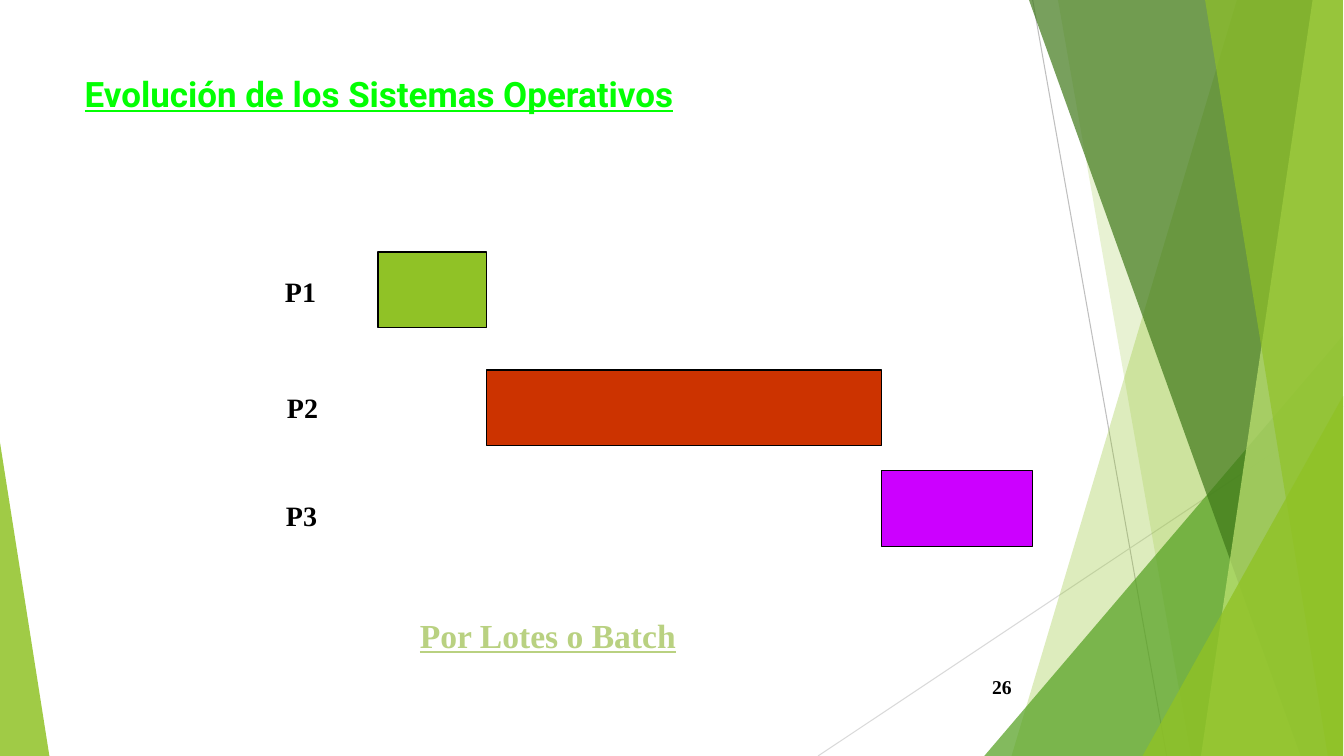
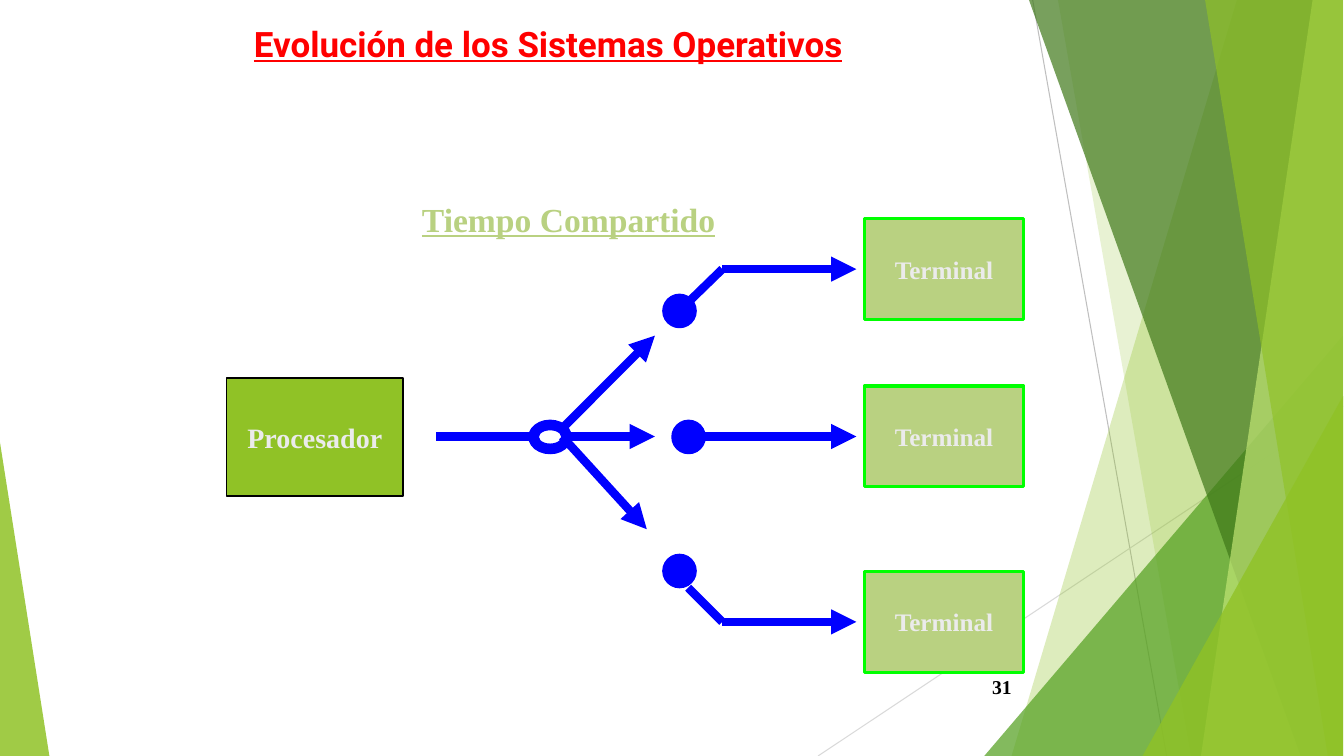
"""Two slides on the evolution of operating systems: batch and time sharing."""
from typing import NamedTuple, Optional

from lxml import etree
from pptx import Presentation
from pptx.dml.color import RGBColor
from pptx.enum import shapes, text
from pptx.oxml import ns
from pptx.util import Inches, Pt

BLACK = RGBColor(0x00, 0x00, 0x00)
PALE = RGBColor(0xEB, 0xEB, 0xEB)
GREY = RGBColor(0xBF, 0xBF, 0xBF)
SILVER = RGBColor(0xD9, 0xD9, 0xD9)
GREEN = RGBColor(0x90, 0xC2, 0x26)
LEAF = RGBColor(0x54, 0xA0, 0x21)
FOREST = RGBColor(0x3F, 0x78, 0x19)
LIME = RGBColor(0xC0, 0xE4, 0x74)
SAGE = RGBColor(0xB9, 0xD1, 0x81)
NEON = RGBColor(0x03, 0xFF, 0x03)
FRAME = RGBColor(0x00, 0xFF, 0x00)
RED = RGBColor(0xFF, 0x00, 0x00)
BRICK = RGBColor(0xCC, 0x33, 0x00)
PURPLE = RGBColor(0xCC, 0x00, 0xFF)
BLUE = RGBColor(0x00, 0x00, 0xFF)

SERIF = "Times New Roman"
WIDTH, HEIGHT = 13.34, 7.5
EDGE = 13.33
KIND = shapes.MSO_SHAPE
LEFT, MID, RIGHT = text.PP_ALIGN.LEFT, text.PP_ALIGN.CENTER, text.PP_ALIGN.RIGHT


class Box(NamedTuple):
    """Left, top, width and height in inches."""
    left: float
    top: float
    width: float
    height: float


class Band(NamedTuple):
    """A band from a top point and a foot point to the right edge."""
    top: float
    foot: float
    color: RGBColor
    alpha: int


class Wedge(NamedTuple):
    """A right-angled triangle at the foot of the slide."""
    box: Box
    apex: float
    color: RGBColor
    alpha: int


class Job(NamedTuple):
    """A process with its label place and its bar."""
    name: str
    left: float
    top: float
    bar: Box
    color: RGBColor


class Wire(NamedTuple):
    """A line between two points, with or without an arrowhead."""
    x1: float
    y1: float
    x2: float
    y2: float
    arrow: bool = False


BACK = [Band(12.28, 10.04, GREEN, 30), Band(10.5, 11.82, GREEN, 20)]
FRONT = [Band(10.21, 12.91, FOREST, 70), Band(13.03, 11.92, LIME, 70),
         Band(11.96, 13.18, GREEN, 65)]
LOW = Wedge(Box(9.77, 3.33, 3.56, 4.17), 1, LEAF, 72)
ENDS = [Wedge(Box(11.34, 3.93, 1.99, 3.57), 1, GREEN, 80),
        Wedge(Box(0, 4.39, 0.49, 3.11), 0, GREEN, 85)]
JOBS = [Job("P1", 2.73, 2.67, Box(3.75, 2.5, 1.08, 0.75), GREEN),
        Job("P2", 2.75, 3.82, Box(4.83, 3.67, 3.92, 0.75), BRICK),
        Job("P3", 2.74, 4.9, Box(8.75, 4.67, 1.5, 0.75), PURPLE)]
WIRES = [Wire(4.33, 4.33, 5.33, 4.33), Wire(5.58, 4.25, 6.5, 3.33, True),
         Wire(5.58, 4.33, 6.5, 4.33, True), Wire(5.58, 4.33, 6.42, 5.25, True),
         Wire(6.83, 3, 7.17, 2.67), Wire(7.17, 2.67, 8.5, 2.67, True),
         Wire(7, 4.33, 8.5, 4.33, True),
         Wire(6.83, 5.83, 7.17, 6.17), Wire(7.17, 6.17, 8.5, 6.17, True)]
DOTS = [(6.58, 2.92), (6.67, 4.17), (6.58, 5.5)]


def write(frame, words: str, *, size: float, color: RGBColor, font: str = SERIF,
          line: bool = False, align=LEFT, anchor=text.MSO_ANCHOR.TOP,
          wrap: bool = False) -> None:
    """Fill a text frame with one bold formatted paragraph."""
    frame.auto_size = text.MSO_AUTO_SIZE.NONE
    frame.word_wrap = wrap
    frame.vertical_anchor = anchor
    para = frame.paragraphs[0]
    para.alignment = align
    run = para.add_run()
    run.text = words
    run.font.name = font
    run.font.size = Pt(size)
    run.font.bold = True
    run.font.underline = line
    run.font.color.rgb = color


def label(slide, box: Box, words: str, **style) -> None:
    """Add a text box."""
    item = slide.shapes.add_textbox(*map(Inches, box))
    write(item.text_frame, words, **style)


def paint(item, color: RGBColor, edge: Optional[RGBColor] = None,
          weight: float = 1, alpha: int = 100) -> None:
    """Set the fill, its opacity and the outline of a shape."""
    item.shadow.inherit = False
    item.fill.solid()
    item.fill.fore_color.rgb = color
    if alpha < 100:
        tone = item.element.spPr.find(".//" + ns.qn("a:srgbClr"))
        etree.SubElement(tone, ns.qn("a:alpha"), val=str(alpha * 1000))
    if edge is None:
        item.line.fill.background()
    else:
        item.line.color.rgb = edge
        item.line.width = Pt(weight)


def block(tree, kind, box: Box, color: RGBColor, **look):
    """Add a painted preset shape."""
    item = tree.add_shape(kind, *map(Inches, box))
    paint(item, color, **look)
    return item


def link(tree, wire: Wire, color: RGBColor, weight: float) -> None:
    """Add a straight line."""
    item = tree.add_connector(shapes.MSO_CONNECTOR.STRAIGHT, *map(Inches, wire[:4]))
    item.line.color.rgb = color
    item.line.width = Pt(weight)
    props = item.element.spPr
    if wire.arrow:
        etree.SubElement(props.find(ns.qn("a:ln")), ns.qn("a:tailEnd"), type="triangle")
    etree.SubElement(props, ns.qn("a:effectLst"))


def strip(tree, band: Band) -> None:
    """Add a slanted band that reaches the right edge."""
    top = -0.01
    points = [(EDGE, top), (EDGE, HEIGHT), (band.foot, HEIGHT)]
    pen = tree.build_freeform(Inches(band.top), Inches(top), scale=1.0)
    pen.add_line_segments([(Inches(x), Inches(y)) for x, y in points], close=True)
    paint(pen.convert_to_shape(), band.color, alpha=band.alpha)


def corner(tree, wedge: Wedge) -> None:
    """Add a corner triangle."""
    item = block(tree, KIND.ISOSCELES_TRIANGLE, wedge.box, wedge.color, alpha=wedge.alpha)
    item.adjustments[0] = wedge.apex


def adorn(slide, layout) -> None:
    """Draw the shared decoration and move it to the layout."""
    for spot in list(layout.placeholders):
        if spot.placeholder_format.type != shapes.PP_PLACEHOLDER.TITLE:
            spot.element.getparent().remove(spot.element)
    group = slide.shapes.add_group_shape()
    tree = group.shapes
    link(tree, Wire(10.25, 0, 11.58, HEIGHT), GREY, 0.75)
    link(tree, Wire(EDGE, 4.03, 8.12, HEIGHT), SILVER, 0.75)
    for band in BACK:
        strip(tree, band)
    corner(tree, LOW)
    for band in FRONT:
        strip(tree, band)
    for wedge in ENDS:
        corner(tree, wedge)
    layout.shapes.element.append(group.element)


def head(slide, box: Box, color: RGBColor, page: str) -> None:
    """Place the title and the page number."""
    title = slide.shapes.title
    title.left, title.top, title.width, title.height = map(Inches, box)
    write(title.text_frame, "Evolución de los Sistemas Operativos", size=25,
          color=color, font="Roboto", line=True, wrap=True)
    label(slide, Box(9.39, 6.61, 0.75, 0.4), page, size=14, color=BLACK,
          align=RIGHT, anchor=text.MSO_ANCHOR.MIDDLE, wrap=True)


def batch(slide) -> None:
    """Build the batch slide."""
    head(slide, Box(0.74, 0.67, 9.4, 1.44), NEON, "26")
    for job in JOBS:
        block(slide.shapes, KIND.RECTANGLE, job.bar, job.color, edge=BLACK)
        label(slide, Box(job.left, job.top, 0.51, 0.44), job.name, size=20, color=BLACK)
    label(slide, Box(4.07, 6.05, 2.74, 0.5), "Por Lotes o Batch", size=24,
          color=SAGE, line=True)


def share(slide) -> None:
    """Build the time sharing slide."""
    head(slide, Box(2.42, 0.17, 8.5, 1.25), RED, "31")
    label(slide, Box(4.09, 1.92, 3.11, 0.5), "Tiempo Compartido", size=24,
          color=SAGE, line=True)
    tree = slide.shapes
    style = dict(color=PALE, align=MID, anchor=text.MSO_ANCHOR.MIDDLE)
    unit = block(tree, KIND.RECTANGLE, Box(2.25, 3.75, 1.75, 1.17), GREEN, edge=BLACK)
    write(unit.text_frame, "Procesador", size=20, **style)
    ring = block(tree, KIND.DONUT, Box(5.25, 4.17, 0.42, 0.33), BLUE, edge=BLUE)
    ring.adjustments[0] = 0.28
    for left, top in DOTS:
        block(tree, KIND.OVAL, Box(left, top, 0.33, 0.33), BLUE, edge=BLUE)
    for wire in WIRES:
        link(tree, wire, BLUE, 6)
    for top in (2.17, 3.83, 5.67):
        node = block(tree, KIND.RECTANGLE, Box(8.58, top, 1.58, 1), SAGE,
                     edge=FRAME, weight=2.25)
        write(node.text_frame, "Terminal", size=18, **style)


def main() -> None:
    """Build and save the deck."""
    deck = Presentation()
    deck.slide_width, deck.slide_height = Inches(WIDTH), Inches(HEIGHT)
    layout = deck.slide_layouts.get_by_name("Title Only")
    first = deck.slides.add_slide(layout)
    adorn(first, layout)
    batch(first)
    share(deck.slides.add_slide(layout))
    deck.save("out.pptx")


if __name__ == "__main__":
    main()
